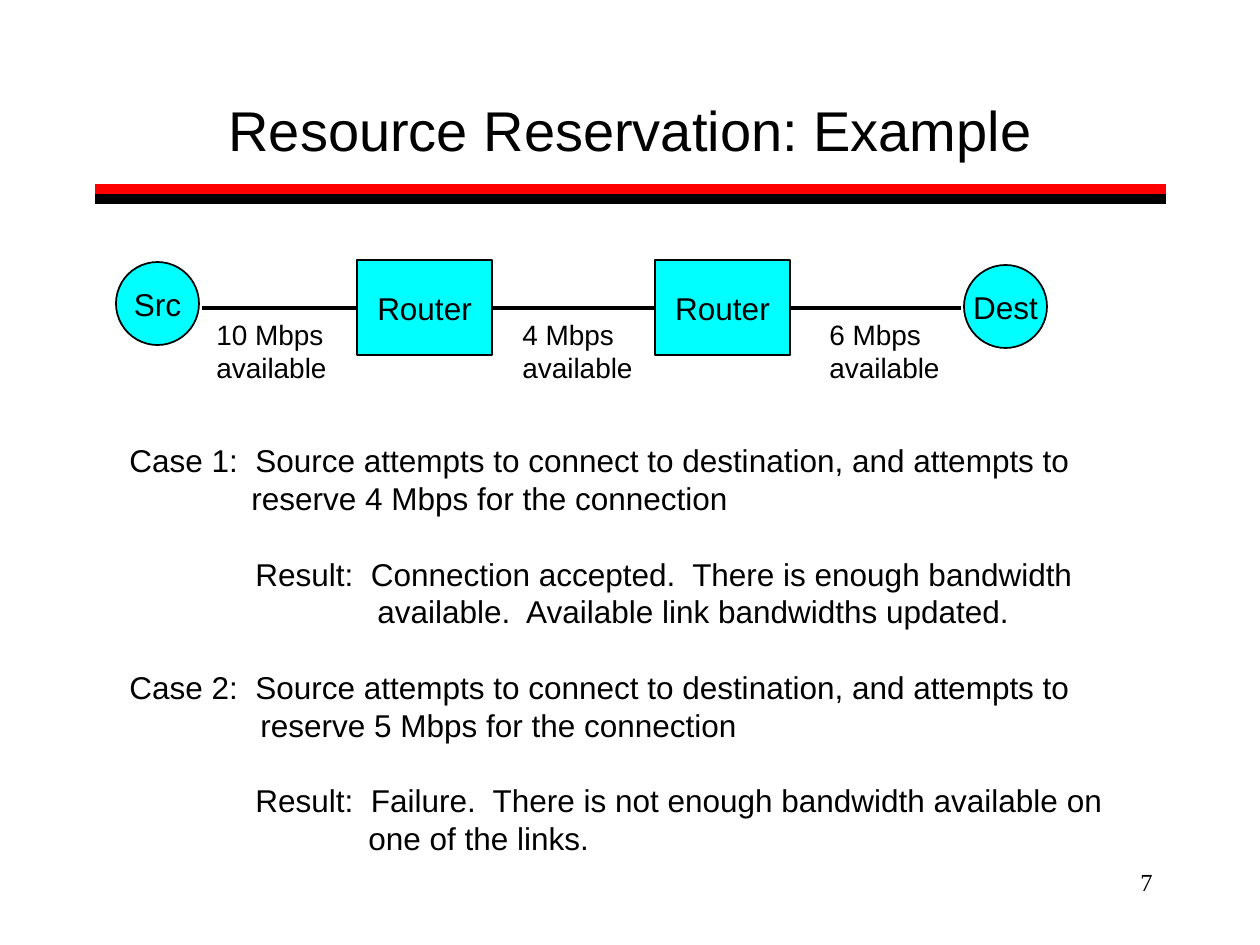
from lxml import etree
from pptx import Presentation
from pptx.dml.color import RGBColor
from pptx.enum.shapes import MSO_CONNECTOR as Connector, MSO_SHAPE as Shape
from pptx.enum.text import MSO_ANCHOR as Anchor, PP_ALIGN as Align
from pptx.oxml.ns import qn
from pptx.util import Emu, Pt

EMU_PER_PX = 914400 / 126
LINE_HEIGHT = 1.2
HANG = 122
COLORS = {"ink": "000000", "rule": "FF0000", "node": "00FFFF"}


def px(length):
    return Emu(round(length * EMU_PER_PX))


def color(name):
    return RGBColor.from_string(COLORS[name])


def write(frame, paragraphs, size, font="Arial", align=Align.LEFT,
          anchor=Anchor.TOP, wrap=True):
    """Fill a text frame and return its paragraphs."""
    frame.word_wrap, frame.vertical_anchor = wrap, anchor
    frame.text = "\n".join(paragraphs)
    look = {"size": Pt(size), "name": font}
    for paragraph in frame.paragraphs:
        paragraph.alignment = align
        paragraph.line_spacing = Pt(size * LINE_HEIGHT)
        for run in paragraph.runs:
            run.font.color.rgb = color("ink")
            for attribute, value in look.items():
                setattr(run.font, attribute, value)
    return frame.paragraphs


def add_text(slide, box, paragraphs, size, **layout):
    area = slide.shapes.add_textbox(*map(px, box))
    return write(area.text_frame, paragraphs, size, **layout)


def add_line(slide, left, right, y, ink, width):
    line = slide.shapes.add_connector(
        Connector.STRAIGHT, px(left), px(y), px(right), px(y))
    line.line.color.rgb = color(ink)
    line.line.width = Pt(width)
    etree.SubElement(line._element.spPr, qn("a:effectLst"))


def add_node(slide, outline, box, label):
    node = slide.shapes.add_shape(outline, *map(px, box))
    node.shadow.inherit = False
    node.fill.solid()
    node.fill.fore_color.rgb = color("node")
    node.line.color.rgb = color("ink")
    node.line.width = Pt(1)
    write(node.text_frame, [label], 18, align=Align.CENTER,
          anchor=Anchor.MIDDLE, wrap=False)


def add_cases(slide):
    # Text and the left edge of its continuation line
    cases = [
        ("Case 1:  Source attempts to connect to destination, and attempts to\v"
         "reserve 4 Mbps for the connection", 122),
        ("Result:  Connection accepted.  There is enough bandwidth\v"
         "available.  Available link bandwidths updated.", 248),
        ("Case 2:  Source attempts to connect to destination, and attempts to\v"
         "reserve 5 Mbps for the connection", 131),
        ("Result:  Failure.  There is not enough bandwidth available on\v"
         "one of the links.", 239),
    ]
    paragraphs = add_text(slide, (117, 435, 1008, 428),
                          [text for text, _ in cases], 18)
    for index, (paragraph, (text, margin)) in enumerate(zip(paragraphs, cases)):
        start = 126 if text.startswith("Result") else 0
        properties = paragraph._p.get_or_add_pPr()
        properties.set("marL", str(px(margin)))
        properties.set("indent", str(px(start - margin)))
        if index:
            paragraph.space_before = Pt(18 * LINE_HEIGHT)


def main():
    presentation = Presentation()
    presentation.slide_width, presentation.slide_height = px(1260), px(945)
    slide = presentation.slides.add_slide(presentation.slide_layouts[6])

    # Title, double rule and page number
    for y, ink in ((189, "rule"), (199, "ink")):
        add_line(slide, 95, 1166, y, ink, 6)
    add_text(slide, (95, 53, 1071, 116), ["Resource Reservation: Example"], 32,
             align=Align.CENTER, anchor=Anchor.BOTTOM)
    add_text(slide, (903, 861, 262, 63), ["7"], 14, font="Times New Roman",
             align=Align.RIGHT)

    # Network path: one link running behind the routers
    add_line(slide, 202, 961, 308, "ink", 2)
    for left in (357, 655):
        add_node(slide, Shape.RECTANGLE, (left, 260, 135, 95), "Router")
    for left, top, label in ((116, 262, "Src"), (964, 265, "Dest")):
        add_node(slide, Shape.OVAL, (left, top, 83, 83), label)

    # Free bandwidth under each link
    for left, rate in ((204, 10), (510, 4), (817, 6)):
        add_text(slide, (left, 311, 136, 79), [f"{rate} Mbps", "available"], 16,
                 wrap=False)

    add_cases(slide)
    presentation.save("out.pptx")


if __name__ == "__main__":
    main()
